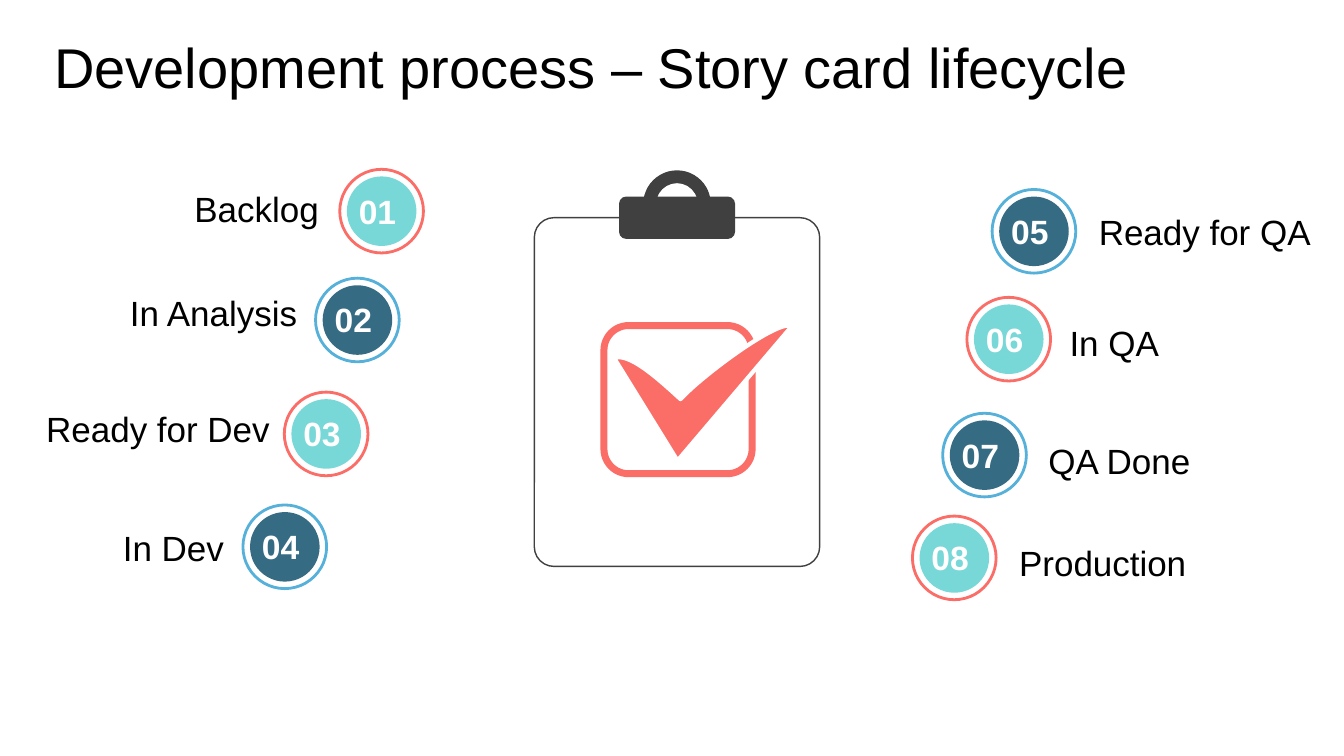
from pptx import Presentation
from pptx.dml.color import RGBColor
from pptx.enum.shapes import MSO_SHAPE
from pptx.enum.text import MSO_ANCHOR, MSO_AUTO_SIZE
from pptx.util import Inches, Pt

BLACK = RGBColor(0x00, 0x00, 0x00)
WHITE = RGBColor(0xFF, 0xFF, 0xFF)
CHARCOAL = RGBColor(0x40, 0x40, 0x40)
CORAL = RGBColor(0xFB, 0x6D, 0x67)
AQUA = RGBColor(0x78, 0xD7, 0xD7)
SKY = RGBColor(0x55, 0xB0, 0xDA)
TEAL = RGBColor(0x35, 0x6C, 0x84)

# Stage name, ring left and top, label left and top
STAGES = [
    ("Backlog", 3.37, 1.68, 1.83, 1.81),
    ("In Analysis", 3.13, 2.76, 1.19, 2.84),
    ("Ready for Dev", 2.82, 3.89, 0.36, 3.99),
    ("In Dev", 2.41, 5.01, 1.12, 5.17),
    ("Ready for QA", 9.84, 1.88, 10.8, 2.04),
    ("In QA", 9.59, 2.95, 10.51, 3.14),
    ("QA Done", 9.35, 4.1, 10.3, 4.31),
    ("Production", 9.05, 5.12, 10.01, 5.32),
]


def curve(p0, p1, p2, p3, steps=24):
    """Points along a cubic curve, without its start."""
    points = []
    for i in range(1, steps + 1):
        t = i / steps
        u = 1 - t
        points.append(tuple(
            u**3 * a + 3 * u * u * t * b + 3 * u * t * t * c + t**3 * d
            for a, b, c, d in zip(p0, p1, p2, p3)))
    return points


class Deck:
    font = "Arial"

    def __init__(self):
        self.prs = Presentation()
        self.prs.slide_width = Inches(13.33)
        self.prs.slide_height = Inches(7.5)
        self.s = self.prs.slides.add_slide(self.prs.slide_layouts[6])

    def paint(self, sp, fill, line=None, width=1):
        sp.shadow.inherit = False
        sp.fill.solid()
        sp.fill.fore_color.rgb = fill
        if line is None:
            sp.line.fill.background()
        else:
            sp.line.color.rgb = line
            sp.line.width = Pt(width)
        return sp

    def shape(self, group, kind, box, fill, line=None, width=1):
        sp = group.shapes.add_shape(kind, *map(Inches, box))
        return self.paint(sp, fill, line, width)

    def freeform(self, group, points, fill, line, width):
        # The builder keeps whole units only, so points are given in EMU
        start, *rest = [tuple(map(Inches, point)) for point in points]
        fb = group.shapes.build_freeform(*start)
        fb.add_line_segments(rest, close=True)
        return self.paint(fb.convert_to_shape(), fill, line, width)

    def text(self, parent, box, words, size, color=BLACK, bold=False, wrap=True):
        sp = parent.shapes.add_textbox(*map(Inches, box))
        tf = sp.text_frame
        tf.word_wrap = wrap
        r = tf.paragraphs[0].add_run()
        r.text = words
        r.font.name = self.font
        r.font.size = Pt(size)
        r.font.bold = bold
        r.font.color.rgb = color
        return tf

    def title(self, words):
        tf = self.text(self.s, (0.44, 0.34, 12.21, 0.42), words, 40)
        tf.margin_top = Inches(0.06)
        tf.paragraphs[0].line_spacing = 0.9

    def badge(self, number, x, y, ring, disc):
        group = self.s.shapes.add_group_shape()
        self.shape(group, MSO_SHAPE.OVAL, (x, y, 0.83, 0.83), WHITE, ring, 2)
        self.shape(group, MSO_SHAPE.OVAL, (x + 0.07, y + 0.07, 0.69, 0.69), disc)
        tf = self.text(group, (x + 0.09, y + 0.16, 0.58, 0.5), f"{number:02d}",
                       24, WHITE, bold=True, wrap=False)
        tf.vertical_anchor = MSO_ANCHOR.MIDDLE
        tf.auto_size = MSO_AUTO_SIZE.SHAPE_TO_FIT_TEXT

    def label(self, words, x, y):
        tf = self.text(self.s, (x, y, 2.94, 0.52), words, 25)
        tf.auto_size = MSO_AUTO_SIZE.SHAPE_TO_FIT_TEXT

    def clipboard(self):
        group = self.s.shapes.add_group_shape()
        board = self.shape(group, MSO_SHAPE.ROUNDED_RECTANGLE,
                           (5.3, 2.16, 2.83, 3.46), WHITE, CHARCOAL)
        board.adjustments[0] = 0.069
        self.shape(group, MSO_SHAPE.ROUNDED_RECTANGLE,
                   (6.14, 1.95, 1.15, 0.42), CHARCOAL)
        clip = self.shape(group, MSO_SHAPE.BLOCK_ARC,
                          (6.38, 1.69, 0.67, 0.67), CHARCOAL)
        for i, value in enumerate((108, 213.89, 0.19)):
            clip.adjustments[i] = value

    def checkbox(self):
        group = self.s.shapes.add_group_shape()
        self.shape(group, MSO_SHAPE.ROUNDED_RECTANGLE,
                   (5.99, 3.23, 1.47, 1.47), WHITE, CORAL, 5)
        notch, tip, foot, start = (6.75, 3.96), (7.85, 3.24), (6.72, 4.57), (6.09, 3.55)
        long_arm = curve(notch, (6.99, 3.7), (7.75, 3.15), tip)
        short_arm = curve(start, (6.25, 3.5), (6.53, 3.76), notch)
        self.freeform(group, [notch, *long_arm, foot, start, *short_arm[:-1]],
                      CORAL, WHITE, 3)


def main():
    deck = Deck()
    deck.title("Development process – Story card lifecycle")

    # Numbered badges, alternating in colour within each column
    for i, (_, x, y, _, _) in enumerate(STAGES):
        first_column = i < 4
        light = (i % 2 == 0) == first_column
        deck.badge(i + 1, x, y, *((CORAL, AQUA) if light else (SKY, TEAL)))

    # Clipboard with its check mark
    deck.clipboard()
    deck.checkbox()

    # Stage names
    for name, _, _, x, y in STAGES:
        deck.label(name, x, y)

    deck.prs.save("out.pptx")


if __name__ == "__main__":
    main()
